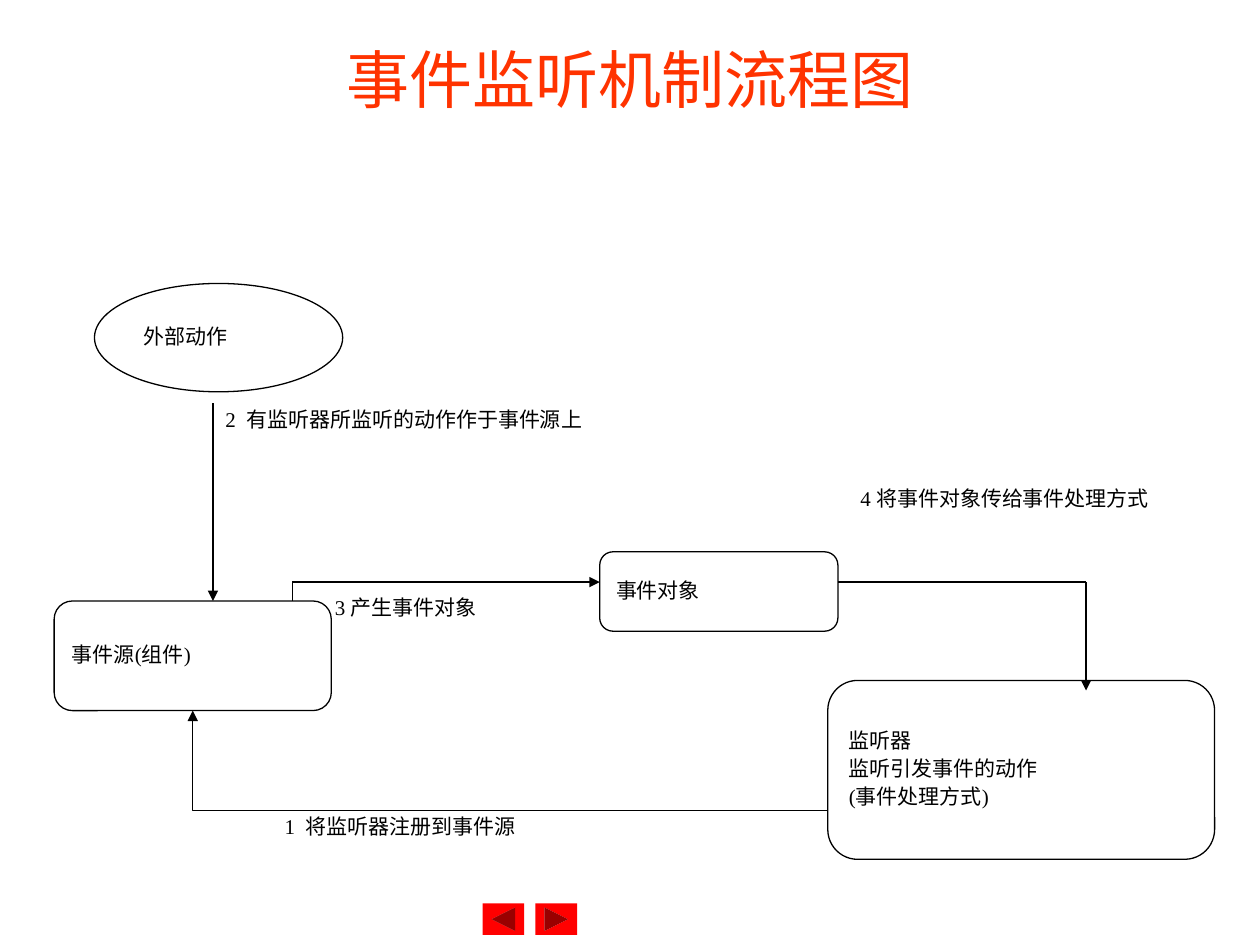
from lxml import etree
from pptx import Presentation
from pptx.dml.color import RGBColor
from pptx.enum.shapes import MSO_CONNECTOR, MSO_SHAPE
from pptx.enum.text import MSO_ANCHOR, PP_ALIGN
from pptx.oxml.ns import qn
from pptx.util import Inches, Pt

ELBOW, STRAIGHT = MSO_CONNECTOR.ELBOW, MSO_CONNECTOR.STRAIGHT
ROUNDED, ELLIPSE = MSO_SHAPE.ROUNDED_RECTANGLE, MSO_SHAPE.OVAL
NEXT_BUTTON = MSO_SHAPE.ACTION_BUTTON_FORWARD_OR_NEXT
LEFT, CENTER = PP_ALIGN.LEFT, PP_ALIGN.CENTER
TOP, MIDDLE = MSO_ANCHOR.TOP, MSO_ANCHOR.MIDDLE
COLORS = {"title": "FF3300", "ink": "000000", "button": "FF0000"}
BODY_FONT, TITLE_FONT = "Times New Roman", "Quicksand"


def rgb(name):
    """Return the named colour."""
    return RGBColor.from_string(COLORS[name])


def style_font(paragraph, face, size, color):
    """Set the face, size and colour of a paragraph."""
    paragraph.font.name = face
    paragraph.font.size = Pt(size)
    paragraph.font.color.rgb = rgb(color)


def write_body(frame, lines, anchor, wrap):
    """Write hanging-indent body lines into a text frame."""
    frame.word_wrap = wrap
    frame.vertical_anchor = anchor
    for index, line in enumerate(lines):
        paragraph = frame.add_paragraph() if index else frame.paragraphs[0]
        paragraph.text = line
        paragraph.alignment = LEFT
        paragraph.line_spacing = 0.9
        if index:
            paragraph.space_before = Pt(3)
        properties = paragraph._p.get_or_add_pPr()
        properties.set("marL", str(Inches(0.38)))
        properties.set("indent", str(Inches(-0.38)))
        style_font(paragraph, BODY_FONT, 12, "ink")


def add_title(slide, left, top, width, height):
    """Place the centred heading."""
    frame = slide.shapes.add_textbox(
        Inches(left), Inches(top), Inches(width), Inches(height)).text_frame
    frame.word_wrap = True
    frame.vertical_anchor = MIDDLE
    heading = frame.paragraphs[0]
    heading.text = "事件监听机制流程图"
    heading.alignment = CENTER
    style_font(heading, TITLE_FONT, 36, "title")


def add_node(slide, kind, box, lines):
    """Place an outlined node with its text."""
    node = slide.shapes.add_shape(kind, *map(Inches, box))
    node.shadow.inherit = False
    node.fill.background()
    node.line.color.rgb = rgb("ink")
    node.line.width = Pt(0.75)
    write_body(node.text_frame, lines, MIDDLE, False)


def add_label(slide, left, top, width, height, text):
    """Place the caption of a step."""
    label = slide.shapes.add_textbox(
        Inches(left), Inches(top), Inches(width), Inches(height))
    write_body(label.text_frame, [text], TOP, True)


def add_link(slide, start, end, arrow=None, kind=STRAIGHT):
    """Draw a thin line with an optional arrowhead and return it."""
    link = slide.shapes.add_connector(kind, *map(Inches, (*start, *end)))
    link.line.color.rgb = rgb("ink")
    link.line.width = Pt(0.75)
    if arrow:
        etree.SubElement(link.line._get_or_add_ln(), qn(f"a:{arrow}"), type="triangle")
    etree.SubElement(link._element.spPr, qn("a:effectLst"))
    return link


def add_register_link(slide, left, top, width, height):
    """Draw the elbow from the listener back up to the event source."""
    middle_x, middle_y = left + width / 2, top + height / 2
    link = add_link(slide, (middle_x + height / 2, middle_y - width / 2),
                    (middle_x - height / 2, middle_y + width / 2), "headEnd", ELBOW)
    properties = link._element.spPr
    properties.find(qn("a:prstGeom")).set("prst", "bentConnector2")
    properties.find(qn("a:xfrm")).set("rot", str(270 * 60000))


def add_flow(slide):
    """Place the nodes, links and captions of the event flow."""
    add_node(slide, ROUNDED, (0.43, 4.77, 2.2, 0.87), ["事件源(组件)"])
    add_node(slide, ROUNDED, (6.57, 5.4, 3.07, 1.42),
             ["监听器", "监听引发事件的动作", "(事件处理方式)"])
    add_node(slide, ELLIPSE, (0.75, 2.25, 1.97, 0.86), ["外部动作"])
    add_node(slide, ROUNDED, (4.76, 4.38, 1.89, 0.63), ["事件对象"])

    add_register_link(slide, 1.53, 5.64, 5.04, 0.79)
    add_link(slide, (1.69, 3.2), (1.69, 4.77), "tailEnd")
    add_link(slide, (2.32, 4.77), (2.32, 4.62))
    add_link(slide, (2.32, 4.62), (4.76, 4.62), "tailEnd")
    add_link(slide, (6.65, 4.62), (8.62, 4.62))
    add_link(slide, (8.62, 4.62), (8.62, 5.48), "tailEnd")

    add_label(slide, 2.16, 6.43, 3.39, 0.28, "1  将监听器注册到事件源")
    add_label(slide, 1.69, 3.2, 3.31, 0.28, "2  有监听器所监听的动作作于事件源上")
    add_label(slide, 2.56, 4.69, 2.2, 0.28, "3 产生事件对象")
    add_label(slide, 6.73, 3.83, 2.52, 0.46, "4 将事件对象传给事件处理方式")


def add_navigation(slide, left, top, width, height):
    """Place the back and forward buttons at the two ends of the box."""
    button_width = 0.33
    for x, turn in ((left, 180), (left + width - button_width, 0)):
        button = slide.shapes.add_shape(
            NEXT_BUTTON, Inches(x), Inches(top), Inches(button_width), Inches(height))
        button.rotation = turn
        button.shadow.inherit = False
        button.fill.solid()
        button.fill.fore_color.rgb = rgb("button")
        button.line.fill.background()


def main():
    """Build the slide and save it."""
    deck = Presentation()
    deck.slide_width, deck.slide_height = Inches(10), Inches(7.5)
    slide = deck.slides.add_slide(deck.slide_layouts[6])
    add_navigation(slide, 3.83, 7.17, 0.75, 0.25)
    add_title(slide, 0.75, 0.08, 8.5, 1.08)
    add_flow(slide)
    deck.save("out.pptx")


if __name__ == "__main__":
    main()
